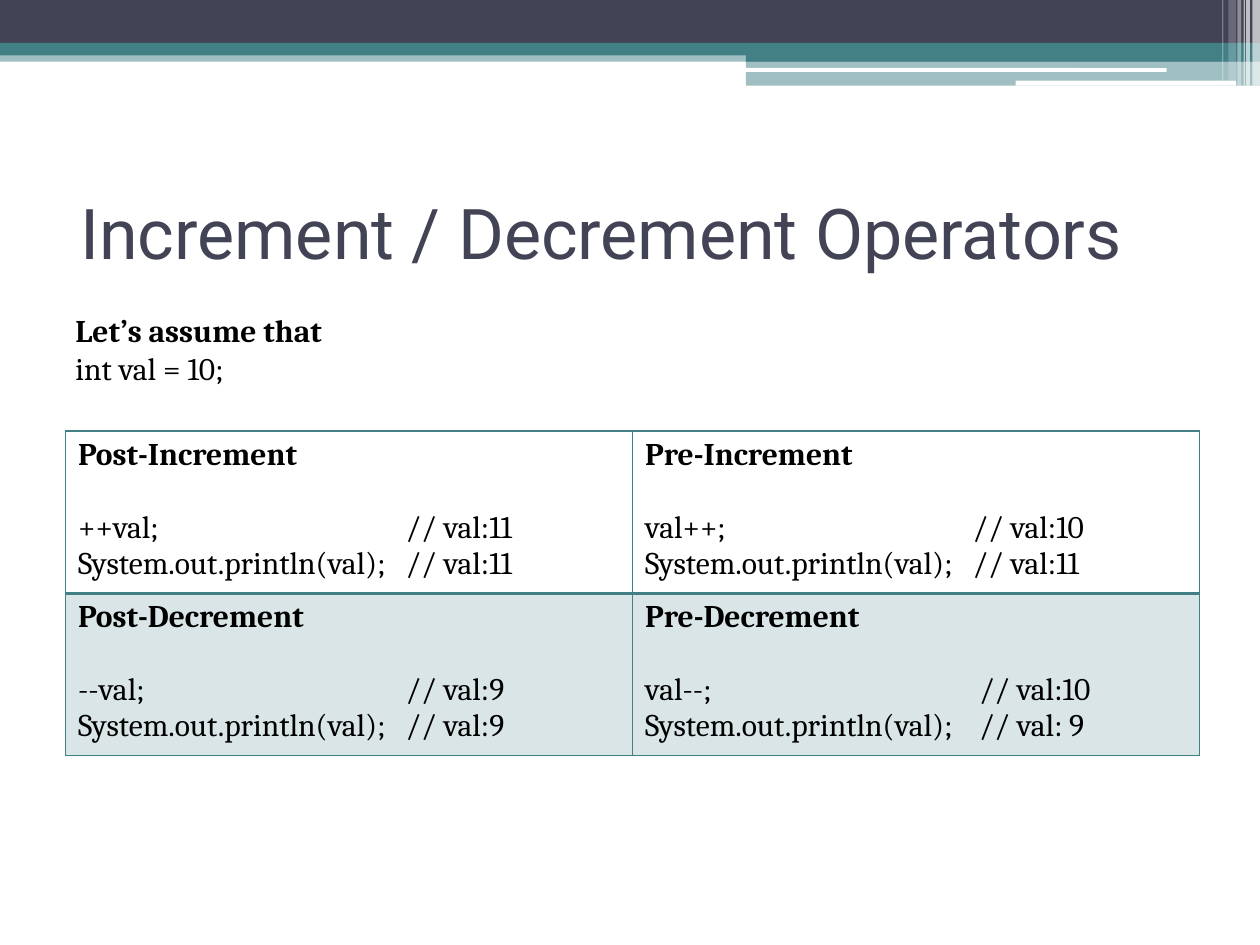
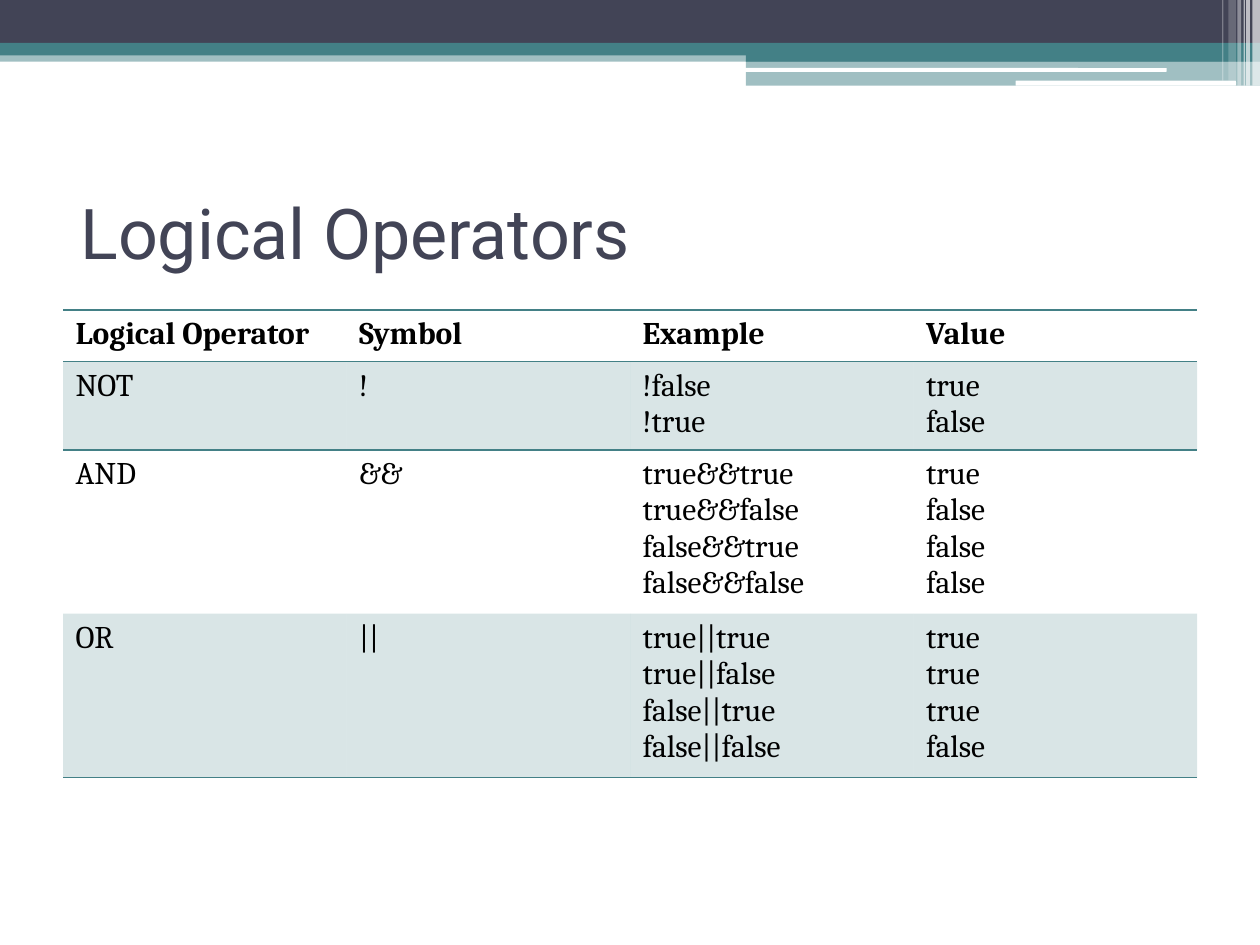
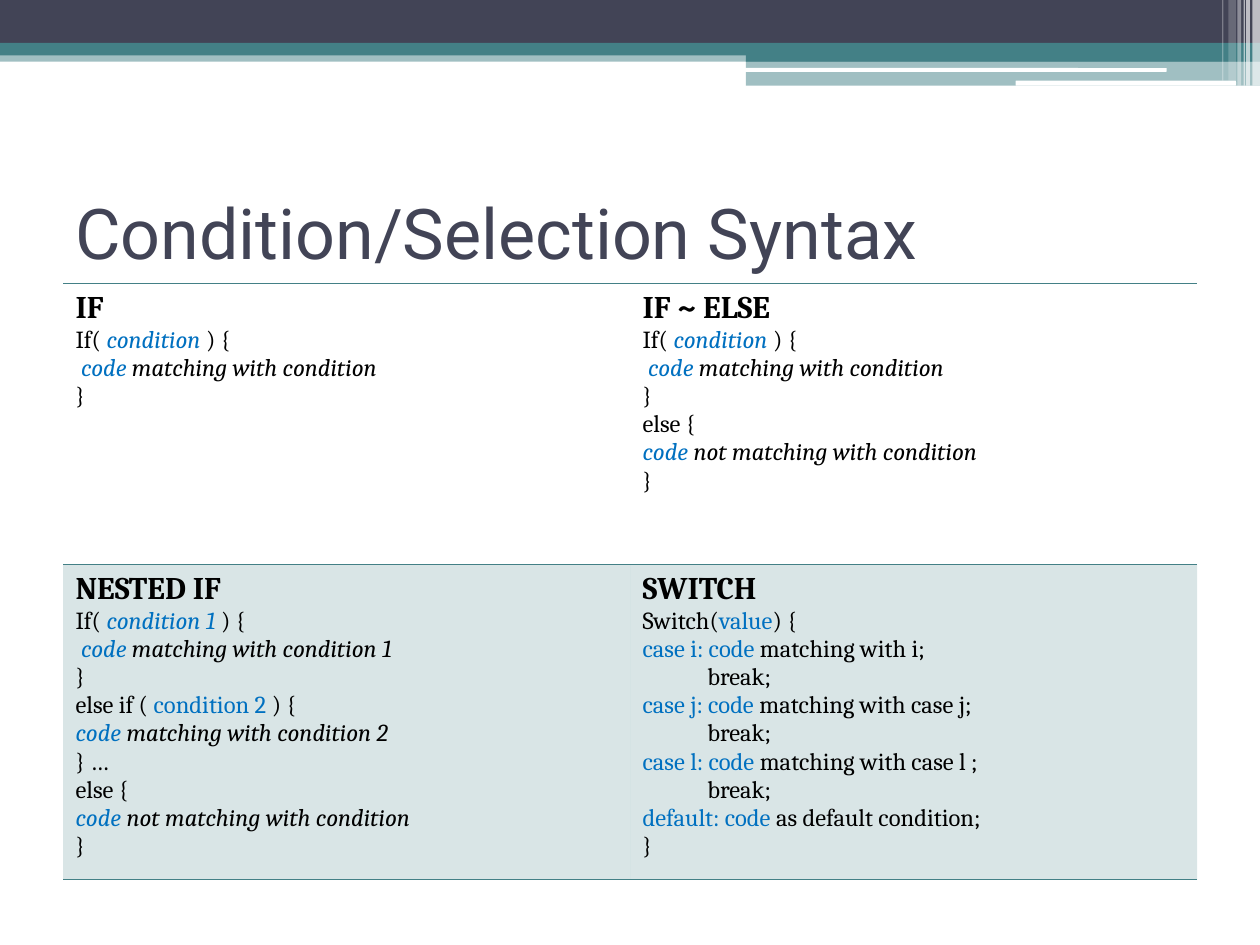
from lxml.etree import SubElement
from pptx import Presentation
from pptx.dml.color import RGBColor
from pptx.enum.shapes import MSO_SHAPE as Preset
from pptx.enum.text import MSO_ANCHOR as Anchor
from pptx.oxml.ns import qn
from pptx.util import Inches, Pt

NAVY, TEAL, WHITE, BLACK, BLUE = "424456", "438086", "FFFFFF", "000000", "0070C0"
PLAIN_TABLE_STYLE = "{2D5ABB26-0587-4C30-8999-92F81FD0307C}"
BORDER_TAGS = {"left": "a:lnL", "right": "a:lnR", "top": "a:lnT", "bottom": "a:lnB"}

BODY = {"name": "Cambria", "size": Pt(18), "bold": False, "color": BLACK}
TITLE = {"name": "Roboto", "size": Pt(40), "color": NAVY}
HEADING = {"bold": True}
CODE = {"size": Pt(14)}
CODE_NOTE = {**CODE, "italic": True}
CODE_WORD = {**CODE, "color": BLUE}
CODE_SLOT = {**CODE_WORD, "italic": True}

# left, top, width, height, colour, opacity in percent
HEADER_BANDS = [
    (0, 0.4, 10, 0.09, TEAL, 50),
    (0, 0, 10, 0.34, NAVY, 100),
    (0, 0.34, 10, 0.1, TEAL, 100),
    (5.92, 0.39, 4.08, 0.1, TEAL, 100),
    (5.92, 0.48, 4.08, 0.2, TEAL, 50),
]
HEADER_LINES = [(5.91, 0.54, 3.35, 0.03, WHITE, 100), (8.06, 0.64, 1.75, 0.04, WHITE, 100)]
HEADER_STRIPES = [
    (9.94, 0, 0.06, 0.68, WHITE, 65),
    (9.89, 0, 0.03, 0.68, WHITE, 65),
    (9.87, 0, 0.01, 0.68, WHITE, 60),
    (9.82, 0, 0.03, 0.68, WHITE, 40),
    (9.75, 0, 0.06, 0.64, WHITE, 20),
    (9.7, 0, 0.01, 0.64, WHITE, 30),
]


def rgb(color):
    return RGBColor.from_string(color)


def set_fill(fill, properties, color, opacity=100):
    """Fill a shape or cell; properties is the XML element that holds the fill."""
    fill.solid()
    fill.fore_color.rgb = rgb(color)
    if opacity < 100:
        color_element = properties.find(qn("a:solidFill"))[0]
        SubElement(color_element, qn("a:alpha"), val=str(opacity * 1000))


def set_font(font, **formats):
    for name, value in formats.items():
        if name == "color":
            font.color.rgb = rgb(value)
        else:
            setattr(font, name, value)


def write_lines(frame, lines, base=BODY):
    """Write one paragraph per line; a line is a list of (text, format) runs."""
    for index, line in enumerate(lines):
        paragraph = frame.paragraphs[0] if index == 0 else frame.add_paragraph()
        for text, formats in line:
            run = paragraph.add_run()
            run.text = text
            set_font(run.font, **{**base, **formats})


def plain_lines(*texts, formats=None):
    return [[(text, formats or {})] for text in texts]


def add_header(slide):
    groups = [
        (Preset.RECTANGLE, HEADER_BANDS),
        (Preset.ROUNDED_RECTANGLE, HEADER_LINES),
        (Preset.RECTANGLE, HEADER_STRIPES),
    ]
    for preset, boxes in groups:
        for *box, color, opacity in boxes:
            shape = slide.shapes.add_shape(preset, *map(Inches, box))
            shape.shadow.inherit = False
            shape.line.fill.background()
            set_fill(shape.fill, shape.element.spPr, color, opacity)


def add_title(slide, text, indent):
    box = slide.shapes.add_textbox(*map(Inches, (0.5, 1.25, 9, 1.17)))
    frame = box.text_frame
    frame.word_wrap = True
    frame.vertical_anchor = Anchor.MIDDLE
    write_lines(frame, plain_lines(text), TITLE)
    if indent:
        properties = frame.paragraphs[0]._p.get_or_add_pPr()
        properties.set("marL", str(Inches(0.42)))
        properties.set("indent", str(Inches(-0.38)))


def add_titled_slide(presentation, title, indent=True):
    slide = presentation.slides.add_slide(presentation.slide_layouts[6])
    add_header(slide)
    add_title(slide, title, indent)
    return slide


def set_borders(cell, borders):
    properties = cell._tc.get_or_add_tcPr()
    for side, tag in BORDER_TAGS.items():
        if side in borders:
            line = SubElement(properties, qn(tag), w=str(Pt(borders[side])))
            solid = SubElement(line, qn("a:solidFill"))
            SubElement(solid, qn("a:srgbClr"), val=TEAL)


def add_banded_table(slide, left, top, width, heights, rows, borders):
    """Add a table with every second row tinted; borders holds a dict per row."""
    columns = len(rows[0])
    box = map(Inches, (left, top, width, sum(heights)))
    frame = slide.shapes.add_table(len(rows), columns, *box)
    table = frame.table
    table.first_row = table.horz_banding = False
    table._tbl.tblPr.find(qn("a:tableStyleId")).text = PLAIN_TABLE_STYLE
    for column in table.columns:
        column.width = Inches(width / columns)
    for index, (height, row) in enumerate(zip(heights, rows)):
        table.rows[index].height = Inches(height)
        for cell, lines in zip(table.rows[index].cells, row):
            write_lines(cell.text_frame, lines)
            set_borders(cell, borders[index])
            if index % 2:
                set_fill(cell.fill, cell._tc.get_or_add_tcPr(), TEAL, 20)
            else:
                cell.fill.background()
    return table


def step_example(heading, statement, after_statement, after_print):
    return plain_lines(heading, formats=HEADING) + plain_lines(
        f"{statement}\t// val:{after_statement}",
        f"System.out.println(val);\t// val:{after_print}",
    )


def space_step_example(cell, tab_position):
    """Set the gap under the heading and line up the comments."""
    heading, *code_lines = cell.text_frame.paragraphs
    code_lines[0].space_before = Pt(20.7)
    for paragraph in code_lines:
        tabs = SubElement(paragraph._p.get_or_add_pPr(), qn("a:tabLst"))
        SubElement(tabs, qn("a:tab"), pos=str(Inches(tab_position)), algn="l")


def add_increment_slide(presentation):
    slide = add_titled_slide(presentation, "Increment / Decrement Operators")
    rows = [
        [step_example("Post-Increment", "++val;", "11", "11"),
         step_example("Pre-Increment", "val++;", "10", "11")],
        [step_example("Post-Decrement", "--val;", "9", "9"),
         step_example("Pre-Decrement", "val--;", "10", " 9")],
    ]
    frame_border = dict.fromkeys(BORDER_TAGS, 1)
    borders = [{**frame_border, "bottom": 2}, {**frame_border, "top": 2}]
    table = add_banded_table(slide, 0.52, 3.42, 9, [1.25, 1.25], rows, borders)
    for row, tab_positions in zip(table.rows, [(2.6, 2.6), (2.6, 2.65)]):
        for cell, tab_position in zip(row.cells, tab_positions):
            space_step_example(cell, tab_position)

    assumption = slide.shapes.add_textbox(*map(Inches, (0.5, 2.42, 2.45, 0.71)))
    assumption.text_frame.word_wrap = False
    write_lines(assumption.text_frame,
                [[("Let’s assume that", HEADING)], [("int val = 10;", {})]])


def add_logical_slide(presentation):
    slide = add_titled_slide(presentation, "Logical Operators")
    headings = ["Logical Operator", "Symbol", "Example", "Value"]
    pairs = [("true", "true"), ("true", "false"), ("false", "true"), ("false", "false")]
    operators = [
        ("NOT", "!", ["!false", "!true"], ["true", "false"]),
        ("AND", "&&", ["&&".join(pair) for pair in pairs],
         ["true", "false", "false", "false"]),
        ("OR", "||", ["||".join(pair) for pair in pairs],
         ["true", "true", "true", "false"]),
    ]
    rows = [[plain_lines(heading, formats=HEADING) for heading in headings]]
    for name, symbol, examples, values in operators:
        rows.append([plain_lines(name), plain_lines(symbol),
                     plain_lines(*examples), plain_lines(*values)])
    borders = [{"top": 1, "bottom": 1}, {"top": 1}, {}, {"bottom": 1}]
    add_banded_table(slide, 0.5, 2.46, 9, [0.41, 0.68, 1.25, 1.25], rows, borders)


def condition_line(opening, condition, condition_format=CODE_SLOT):
    return [(opening, CODE), (condition + " ", condition_format), (") {", CODE)]


def code_line(note, lead=""):
    runs = [("code", CODE_SLOT), (" " + note, CODE_NOTE)]
    return [(lead, CODE), *runs] if lead else runs


def case_lines(label, note):
    return [[(f"case {label}: code ", CODE_WORD), (note, CODE)],
            [("            break;", CODE)]]


def add_condition_slide(presentation):
    slide = add_titled_slide(presentation, "Condition/Selection Syntax", indent=False)
    close = [("}", CODE)]
    otherwise = [[("else {", CODE)], code_line("not matching with condition"), close]
    simple_if = [
        condition_line("If( ", "condition"),
        code_line("matching with condition", lead=" "),
        close,
    ]
    nested_if = [
        condition_line("If( ", "condition 1"),
        code_line("matching with condition 1", lead=" "),
        close,
        condition_line("else if ( ", "condition 2", CODE_WORD),
        code_line("matching with condition 2"),
        [("} …", CODE)],
        *otherwise,
    ]
    switch = [
        [("Switch(", CODE), ("value", CODE_WORD), (") {", CODE)],
        *case_lines("i", "matching with i;"),
        *case_lines("j", "matching with case j;"),
        *case_lines("l", "matching with case l ;"),
        [("default: code", CODE_WORD), (" as default condition;", CODE)],
        close,
    ]
    rows = [
        [[[("IF", HEADING)], *simple_if],
         [[("IF ~ ELSE", HEADING)], *simple_if, *otherwise]],
        [[[("NESTED IF", HEADING)], *nested_if],
         [[("SWITCH", HEADING)], *switch]],
    ]
    borders = [{"top": 1, "bottom": 1}] * 2
    add_banded_table(slide, 0.5, 2.25, 9, [2.23, 2.4], rows, borders)


def main():
    presentation = Presentation()
    presentation.slide_width = Inches(10)
    presentation.slide_height = Inches(7.5)
    add_increment_slide(presentation)
    add_logical_slide(presentation)
    add_condition_slide(presentation)
    presentation.save("out.pptx")


if __name__ == "__main__":
    main()
